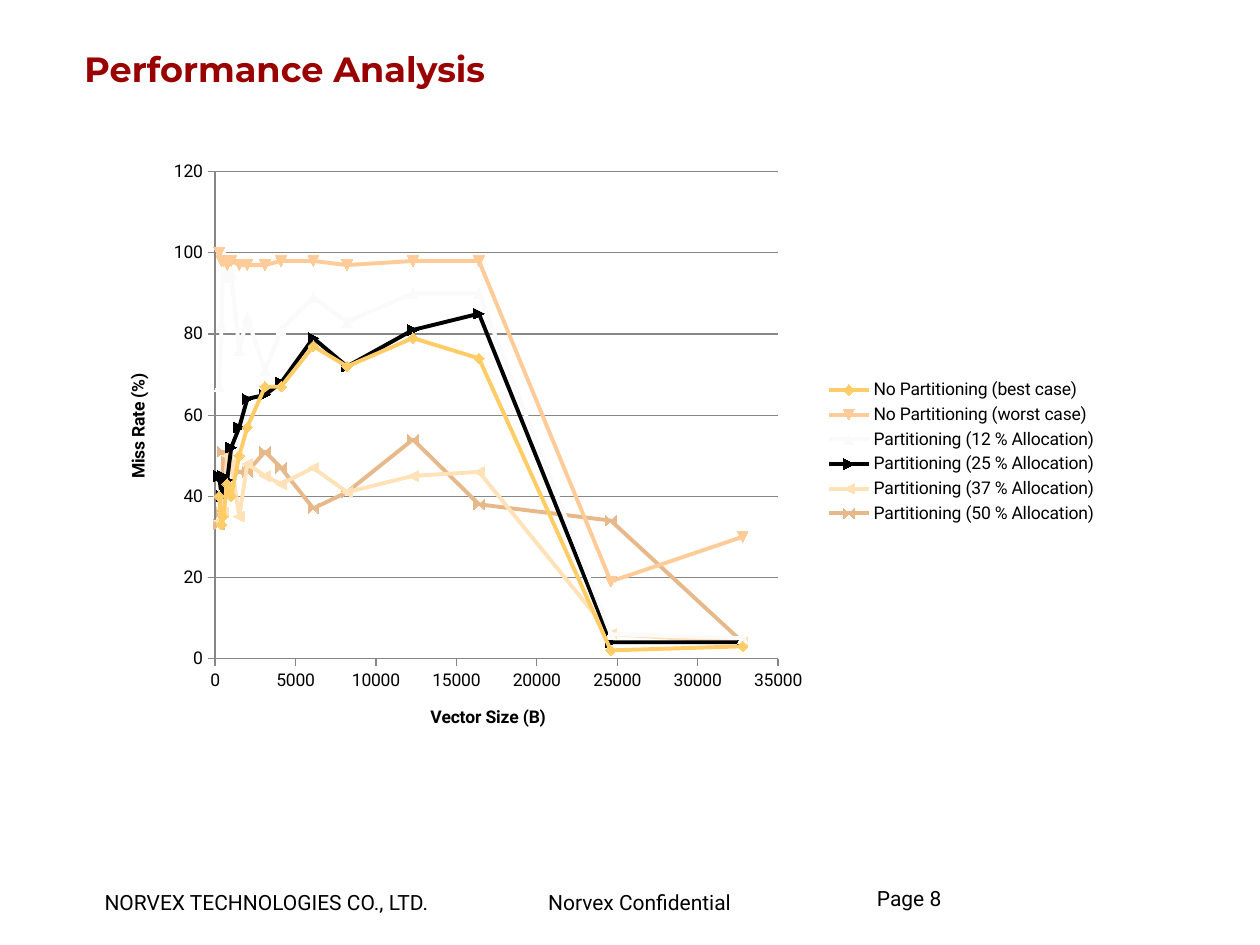
import pptx
import pptx.chart.data
import pptx.dml.color
import pptx.enum.chart
import pptx.enum.text
import pptx.oxml
import pptx.oxml.ns
import pptx.util

Inches = pptx.util.Inches
Pt = pptx.util.Pt
enum = pptx.enum.chart

HUES = {
    "text": "000000", "title": "990000", "grid": "868686",
    "best": "FFCC66", "worst": "FFCC99", "p12": "FAFAFA",
    "p25": "000000", "p37": "FFE2B8", "p50": "E7B98A",
}
SIZES = [250, 400, 500, 750, 1000, 1500, 2000, 3100, 4100, 6100,
         8200, 12300, 16400, 24600, 32800]
RATES = [
    ("No Partitioning (best case)", "best",
     [40, 33, 35, 43, 40, 50, 57, 67, 67, 77, 72, 79, 74, 2, 3]),
    ("No Partitioning (worst case)", "worst",
     [100, 98, 98, 97, 98, 97, 97, 97, 98, 98, 97, 98, 98, 19, 30]),
    ("Partitioning (12 % Allocation)", "p12",
     [67, 82, 100, 94, 95, 76, 84, 71, 81, 89, 83, 90, 90, 6, 5]),
    ("Partitioning (25 % Allocation)", "p25",
     [45, 40, 45, 44, 52, 57, 64, 65, 68, 79, 72, 81, 85, 4, 4]),
    ("Partitioning (37 % Allocation)", "p37",
     [34, 37, 36, 50, 48, 35, 48, 45, 43, 47, 41, 45, 46, 6, 4]),
    ("Partitioning (50 % Allocation)", "p50",
     [33, 36, 51, 49, 47, 46, 46, 51, 47, 37, 41, 54, 38, 34, 4]),
]


def apply(item, form):
    for key, value in form.items():
        setattr(item, key, value)


def shade(name):
    return pptx.dml.color.RGBColor.from_string(HUES[name])


def style(font, hue="text", **form):
    apply(font, form)
    font.color.rgb = shade(hue)


def paint(line, hue, width):
    line.color.rgb = shade(hue)
    line.width = Pt(width)


def place(shape, box):
    apply(shape, dict(zip(("left", "top", "width", "height"), map(Inches, box))))


def pad(frame, left, top, right, low):
    apply(frame, {"margin_left": Inches(left), "margin_top": Inches(top),
                  "margin_right": Inches(right), "margin_bottom": Inches(low)})


def head(slide, box):
    title = slide.shapes.title
    place(title, box)
    frame = title.text_frame
    frame.text = "Performance Analysis"
    pad(frame, 0, 0.04, 0.09, 0.04)
    frame.vertical_anchor = pptx.enum.text.MSO_ANCHOR.MIDDLE
    para = frame.paragraphs[0]
    para.alignment = pptx.enum.text.PP_ALIGN.LEFT
    style(para.font, "title", name="Montserrat", size=Pt(20), bold=True)


def foot(slide, box):
    left, top, width, high = box
    parts = [
        ("NORVEX TECHNOLOGIES CO., LTD.", 0, 2.78, 0, 1),
        ("Norvex Confidential", 3.43, 1.78, 0.09, 1),
        ("Page 8", 6.13, width - 6.13, 0, 0.85),
    ]
    for text, shift, wide, inset, pitch in parts:
        note = slide.shapes.add_textbox(0, 0, 0, 0)
        place(note, (left + shift, top, wide, high))
        frame = note.text_frame
        frame.word_wrap = False
        pad(frame, inset, 0, 0, 0)
        para = frame.paragraphs[0]
        para.text = text
        para.line_spacing = pitch
        style(para.font, name="Roboto", size=Pt(12))


def axis(axis, text, top, step):
    apply(axis, {"minimum_scale": 0, "maximum_scale": top, "major_unit": step,
                 "major_tick_mark": enum.XL_TICK_MARK.OUTSIDE,
                 "minor_tick_mark": enum.XL_TICK_MARK.NONE,
                 "has_major_gridlines": False})
    axis.tick_labels.number_format = "General"
    axis.tick_labels.number_format_is_linked = False
    paint(axis.format.line, "grid", 0.75)
    frame = axis.axis_title.text_frame
    frame.text = text
    style(frame.paragraphs[0].font, name="Roboto", size=Pt(10), bold=True)


def fix(chart, box):
    for mark in chart.element.xpath(".//c:ser/c:idx"):
        mark.set("val", str(int(mark.get("val")) + 1))
    area = chart.element.xpath(".//c:plotArea")[0]
    for old in area.xpath("./c:layout"):
        area.remove(old)
    parts = '<c:layoutTarget val="inner"/><c:xMode val="edge"/><c:yMode val="edge"/>'
    parts += "".join(f'<c:{key} val="{value}"/>' for key, value in zip("xywh", box))
    area.insert(0, pptx.oxml.parse_xml(
        f'<c:layout {pptx.oxml.ns.nsdecls("c")}>'
        f"<c:manualLayout>{parts}</c:manualLayout></c:layout>"))


def plot(slide, box):
    data = pptx.chart.data.XyChartData()
    for name, hue, rates in RATES:
        group = data.add_series(name)
        for size, rate in zip(SIZES, rates):
            group.add_data_point(size, rate)
    chart = slide.shapes.add_chart(enum.XL_CHART_TYPE.XY_SCATTER_SMOOTH,
                                   *map(Inches, box), data).chart
    apply(chart, {"has_title": False, "has_legend": True})
    style(chart.font, name="Roboto", size=Pt(10))
    apply(chart.legend, {"position": enum.XL_LEGEND_POSITION.RIGHT,
                         "include_in_layout": False})
    chart.plots[0].vary_by_categories = False
    axis(chart.category_axis, "Vector Size (B)", 35000, 5000)
    axis(chart.value_axis, "Miss Rate (%)", 120, 20)
    chart.value_axis.has_major_gridlines = True
    paint(chart.value_axis.major_gridlines.format.line, "grid", 0.75)
    for group, (name, hue, rates) in zip(chart.plots[0].series, RATES):
        group.smooth = True
        paint(group.format.line, hue, 2.25)
        mark = group.marker
        mark.size = 6
        mark.format.fill.solid()
        mark.format.fill.fore_color.rgb = shade(hue)
        paint(mark.format.line, hue, 0.75)
    fix(chart, (0.11, 0.04, 0.56, 0.8))


deck = pptx.Presentation()
apply(deck, {"slide_width": Inches(10), "slide_height": Inches(7.5)})
slide = deck.slides.add_slide(deck.slide_layouts[5])
head(slide, (0.67, 0.17, 8.78, 0.75))
plot(slide, (0.83, 1.17, 7.98, 4.83))
foot(slide, (0.83, 7.06, 8.42, 0.2))
deck.save("out.pptx")
